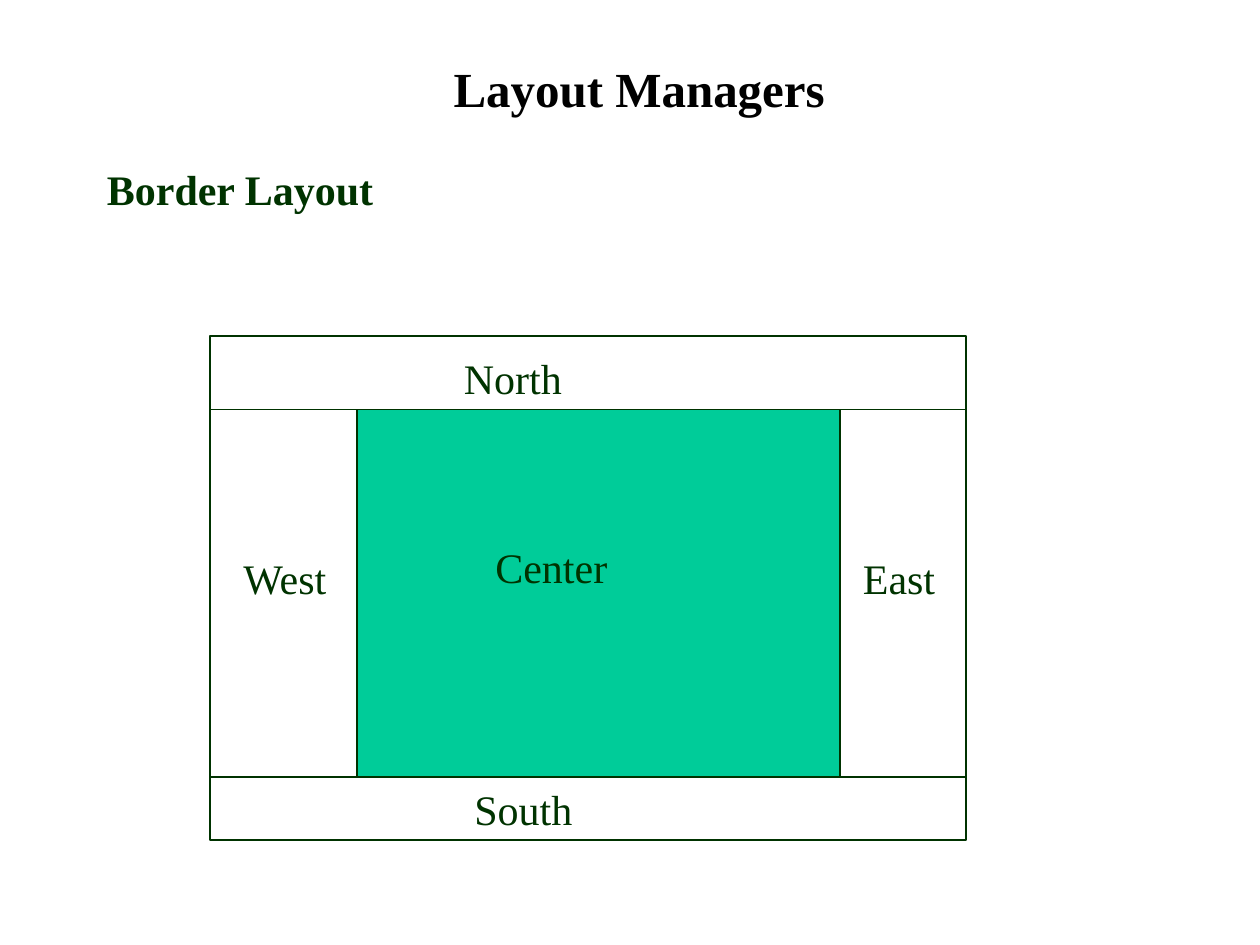
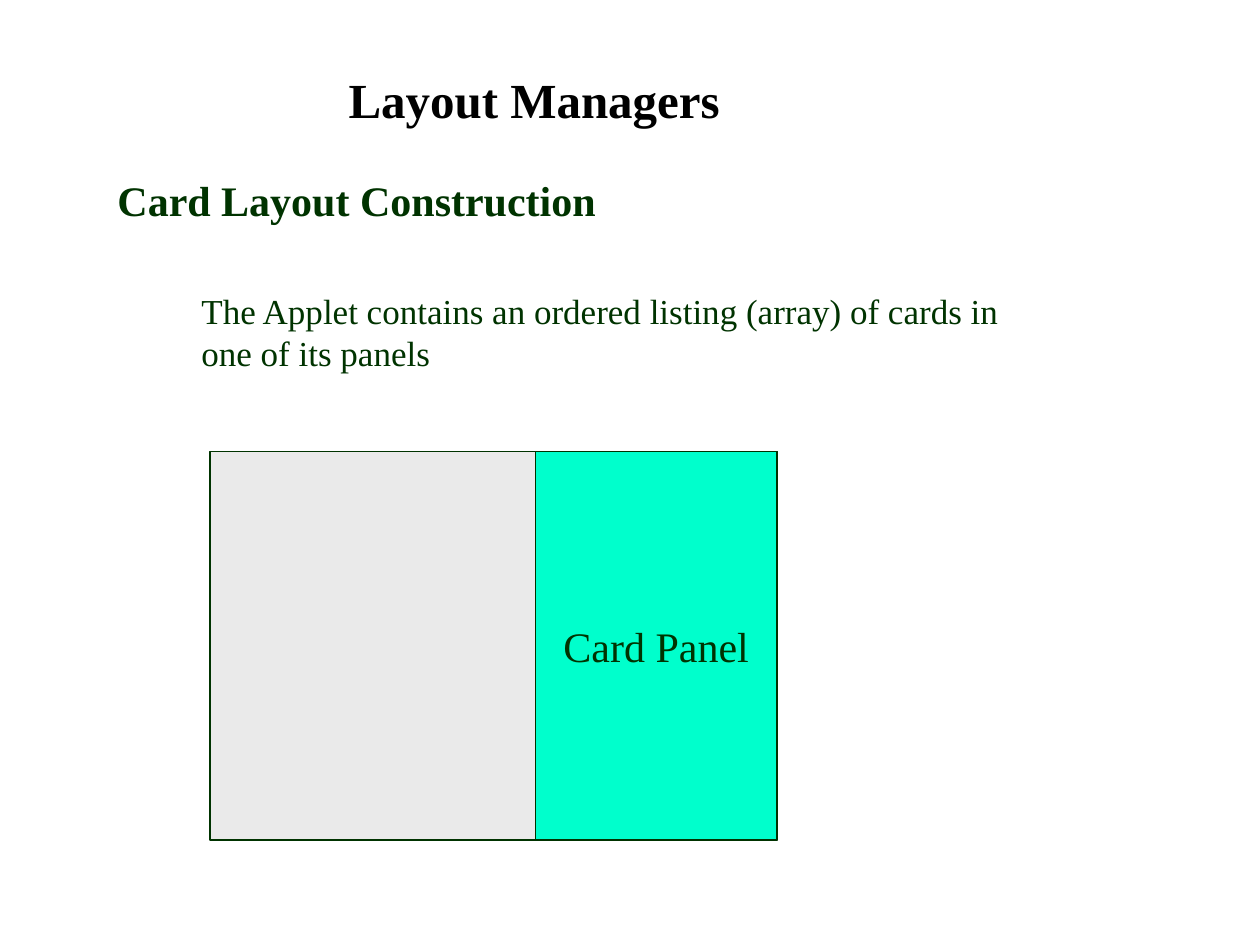
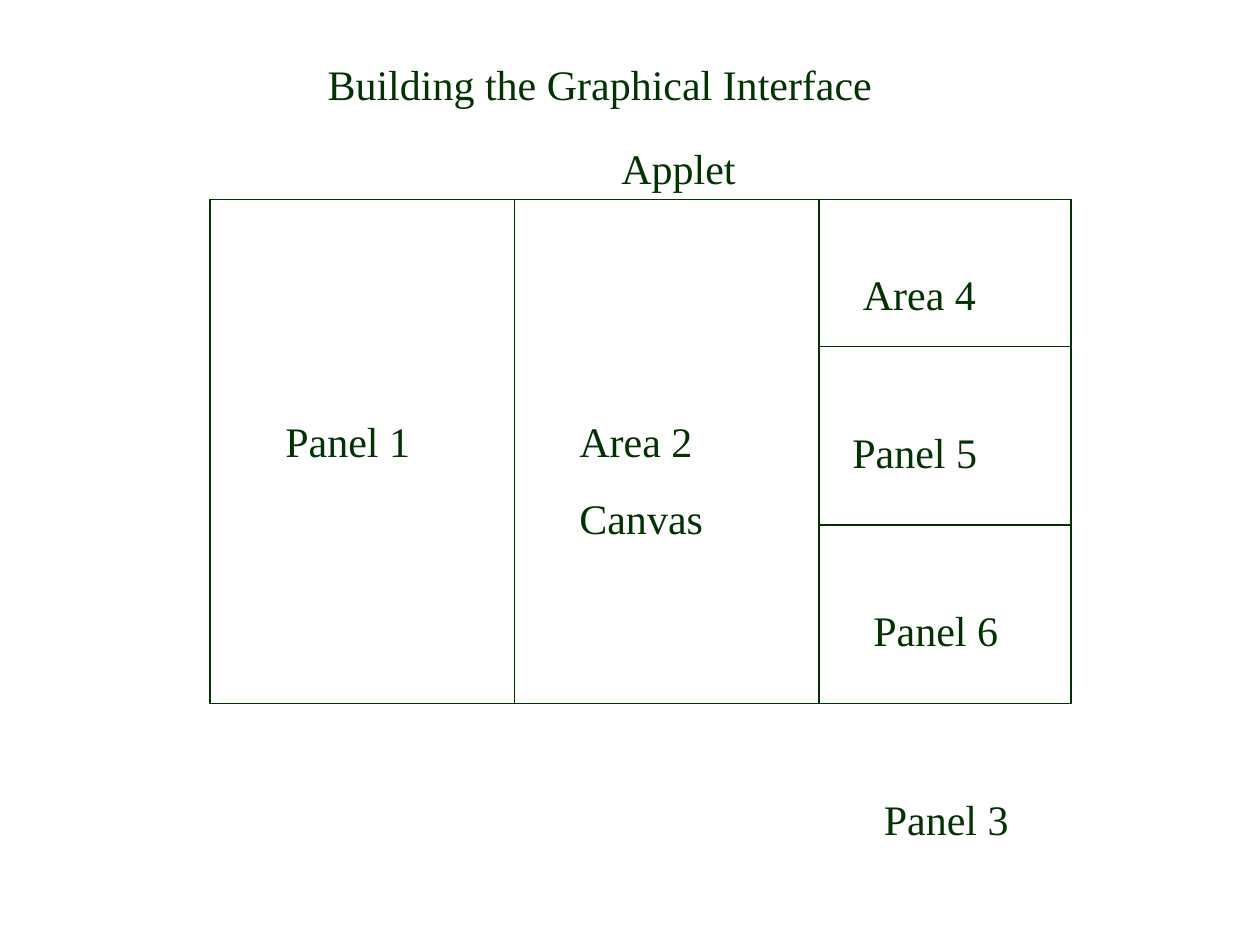
from lxml.etree import SubElement
from pptx import Presentation
from pptx.dml.color import RGBColor
from pptx.enum.shapes import MSO_CONNECTOR, MSO_SHAPE
from pptx.enum.text import MSO_ANCHOR, MSO_AUTO_SIZE, PP_ALIGN
from pptx.oxml.ns import qn
from pptx.util import Inches, Pt

FONT = "Times New Roman"
BLACK = RGBColor(0x00, 0x00, 0x00)
WHITE = RGBColor(0xFF, 0xFF, 0xFF)
DARK_GREEN = RGBColor(0x00, 0x33, 0x00)
TEAL = RGBColor(0x00, 0xCC, 0x99)
AQUA = RGBColor(0x00, 0xFF, 0xCC)
PALE_GREY = RGBColor(0xEA, 0xEA, 0xEA)

WIDTH, HEIGHT = Inches(10), Inches(7.5)
CELL = WIDTH // 120  # all places are columns and rows of this grid
LABEL_ROWS = 6
TITLE_ONLY = 5

BOLD_TITLE = dict(size=28, bold=True, color=BLACK)
BOLD_HEADING = dict(bold=True)

# Text entries: (text, column, row, columns wide)
BORDER_FRAME = (20, 32, 72, 48)
BORDER_CENTER = (34, 39, 46, 35)
BORDER_LABELS = [
    ("North", 43, 33, 37),
    ("South", 44, 74, 23),
    ("Center", 46, 51, 19),
    ("West", 22, 52, 15),
    ("East", 81, 52, 10),
]

CARD_FRAME = (20, 43, 54, 37)
CARD_COLUMNS = 23
CARD_SENTENCE = ("The Applet contains an ordered listing (array) of cards in "
                 "one of its panels")

APPLET_FRAME = (20, 19, 82, 48)
# Each applet column: (columns wide, heights of its areas from the top)
APPLET_COLUMNS = [(29, [48]), (29, [48]), (24, [14, 17, 17])]
AREA_LABELS = [
    ("Panel 1", 26, 39, 17),
    ("Area 2\nCanvas", 54, 39, 21),
    ("Area 4", 81, 25, 19),
    ("Panel 5", 80, 40, 19),
    ("Panel 6", 82, 57, 18),
]
OUTER_LABELS = [("Applet", 58, 13, 24), ("Panel 3", 83, 75, 17)]


def grid(*cells):
    return [CELL * cell for cell in cells]


def write(shape, text, size=24, bold=False, color=DARK_GREEN,
          align=PP_ALIGN.LEFT, anchor=MSO_ANCHOR.TOP):
    frame = shape.text_frame
    frame.text = text
    frame.word_wrap = True
    frame.auto_size = MSO_AUTO_SIZE.NONE
    frame.vertical_anchor = anchor
    for index, paragraph in enumerate(frame.paragraphs):
        paragraph.alignment = align
        paragraph.space_before = Pt(15 if index else 0)
        font = paragraph.font
        font.name, font.size, font.bold = FONT, Pt(size), bold
        font.color.rgb = color


def add_label(slide, text, column, row, columns, rows=LABEL_ROWS, **style):
    label = slide.shapes.add_textbox(*grid(column, row, columns, rows))
    write(label, text, **style)


def add_panel(slide, place, fill=WHITE):
    panel = slide.shapes.add_shape(MSO_SHAPE.RECTANGLE, *grid(*place))
    panel.shadow.inherit = False
    panel.fill.solid()
    panel.fill.fore_color.rgb = fill
    panel.line.color.rgb = DARK_GREEN
    panel.line.width = Pt(0.75)
    return panel


def add_line(slide, *ends):
    line = slide.shapes.add_connector(MSO_CONNECTOR.STRAIGHT, *grid(*ends))
    line.line.color.rgb = DARK_GREEN
    line.line.width = Pt(0.75)
    SubElement(line._element.spPr, qn("a:effectLst"))


def add_slide(deck, title, column, row, columns, rows=7, **style):
    slide = deck.slides.add_slide(deck.slide_layouts[TITLE_ONLY])
    heading = slide.shapes.title
    heading.left, heading.top, heading.width, heading.height = grid(
        column, row, columns, rows)
    write(heading, title, **style)
    return slide


def build_border_layout(deck):
    slide = add_slide(deck, "Layout Managers", 42, 5, 38, **BOLD_TITLE)
    add_label(slide, "Border Layout", 9, 15, 45, **BOLD_HEADING)
    add_panel(slide, BORDER_FRAME)
    add_panel(slide, BORDER_CENTER, TEAL)
    left, _, columns, _ = BORDER_FRAME
    west, north, center_columns, center_rows = BORDER_CENTER
    east, south = west + center_columns, north + center_rows
    for inner, outer in ((west, left), (east, left + columns)):
        for row in (north, south):
            add_line(slide, inner, row, outer, row)
        add_line(slide, inner, north, inner, south)
    for label in BORDER_LABELS:
        add_label(slide, *label)


def build_card_layout(deck):
    slide = add_slide(deck, "Layout Managers", 32, 6, 54, **BOLD_TITLE)
    add_label(slide, "Card Layout Construction", 10, 16, 99, **BOLD_HEADING)
    add_label(slide, CARD_SENTENCE, 18, 27, 82, rows=9, size=20)
    add_panel(slide, CARD_FRAME, PALE_GREY)
    left, top, columns, rows = CARD_FRAME
    card = add_panel(
        slide, (left + columns - CARD_COLUMNS, top, CARD_COLUMNS, rows), AQUA)
    write(card, "Card Panel", align=PP_ALIGN.CENTER, anchor=MSO_ANCHOR.MIDDLE)


def build_interface(deck):
    slide = add_slide(deck, "Building the Graphical Interface", 30, 5, 65,
                      rows=LABEL_ROWS)
    add_panel(slide, APPLET_FRAME)
    column, top = APPLET_FRAME[:2]
    for columns, heights in APPLET_COLUMNS:
        row = top
        for rows in heights:
            add_panel(slide, (column, row, columns, rows))
            row += rows
        column += columns
    for text, *place in AREA_LABELS + OUTER_LABELS:
        rows = 13 if "\n" in text else LABEL_ROWS
        add_label(slide, text, *place, rows=rows)


def main():
    deck = Presentation()
    deck.slide_width, deck.slide_height = WIDTH, HEIGHT
    build_border_layout(deck)
    build_card_layout(deck)
    build_interface(deck)
    deck.save("out.pptx")


if __name__ == "__main__":
    main()
